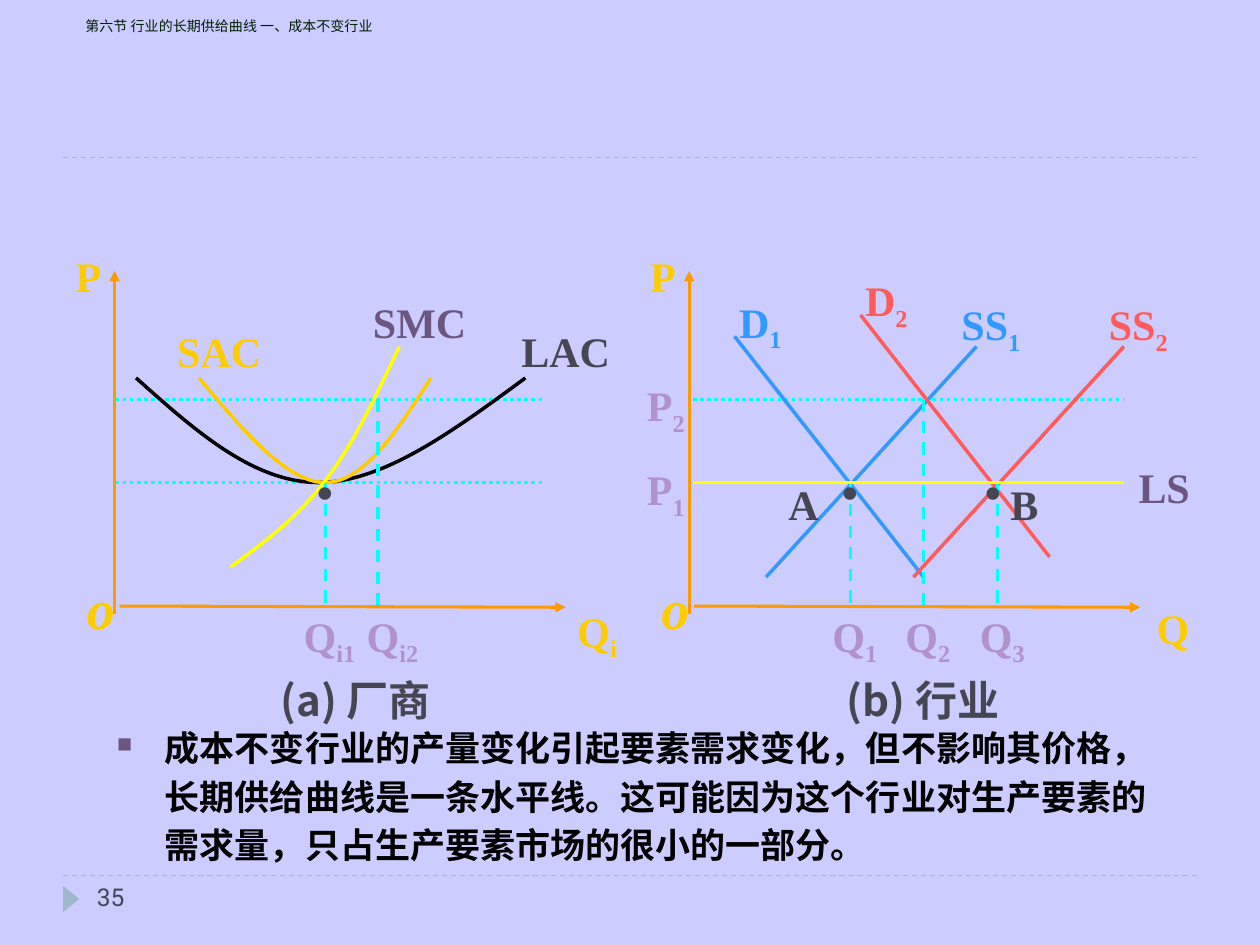
from dataclasses import dataclass

from lxml import etree
from pptx import Presentation
from pptx.dml.color import RGBColor
from pptx.enum.dml import MSO_LINE
from pptx.enum.shapes import MSO_CONNECTOR, MSO_SHAPE
from pptx.enum.text import MSO_ANCHOR, MSO_AUTO_SIZE, PP_ALIGN
from pptx.oxml.ns import qn
from pptx.util import Inches, Pt

DASH = MSO_LINE.DASH
DOT = MSO_LINE.ROUND_DOT
STRAIGHT = MSO_CONNECTOR.STRAIGHT
TRIANGLE = MSO_SHAPE.ISOSCELES_TRIANGLE
CENTER = PP_ALIGN.CENTER
MIDDLE = MSO_ANCHOR.MIDDLE
GROW = MSO_AUTO_SIZE.SHAPE_TO_FIT_TEXT


@dataclass(frozen=True)
class Theme:
    back: str = "CCCCFF"
    rule: str = "9FB8CD"
    ink: str = "464653"
    black: str = "000000"
    title: str = "001E00"
    axis: str = "FF9900"
    gold: str = "FFCC00"
    yellow: str = "FFFF00"
    cyan: str = "00FFFF"
    plum: str = "6B5680"
    lilac: str = "B292CA"
    blue: str = "3399FF"
    red: str = "FF5B5B"
    serif: str = "Times New Roman"
    sans: str = "Roboto"
    han: str = "Noto Sans CJK SC"
    cap: str = "Noto Sans CJK KR"
    tiny: float = 8
    small: float = 14
    body: float = 20
    label: float = 24
    zero: float = 32
    dot: float = 44
    thin: float = 0.75
    mid: float = 1.75
    thick: float = 2


T = Theme()


@dataclass
class Box:
    slide: object
    left: float
    top: float

    def at(self, x, y):
        return Inches(self.left + x), Inches(self.top + y)


def rgb(code):
    return RGBColor.from_string(code)


def style(line, color, width, dash=None):
    line.color.rgb = rgb(color)
    line.width = Pt(width)
    if dash is not None:
        line.dash_style = dash


def stroke(box, start, end, color, width=T.thick, dash=None, arrow=False):
    link = box.slide.shapes.add_connector(STRAIGHT, *box.at(*start), *box.at(*end))
    style(link.line, color, width, dash)
    if arrow:
        etree.SubElement(link.line._get_or_add_ln(), qn("a:tailEnd"), type="triangle")
    etree.SubElement(link._element.spPr, qn("a:effectLst"))


def curve(box, points, color):
    start, *rest = [box.at(*p) for p in points]
    pen = box.slide.shapes.build_freeform(*start)
    pen.add_line_segments(rest, close=False)
    shape = pen.convert_to_shape()
    shape.shadow.inherit = False
    shape.fill.background()
    style(shape.line, color, T.thick)
    route = shape._element.find(".//" + qn("a:path"))
    parts = route.findall(qn("a:lnTo"))
    for i in range(0, len(parts), 3):
        bend = etree.SubElement(route, qn("a:cubicBezTo"))
        for part in parts[i:i + 3]:
            bend.append(part[0])
            route.remove(part)


def write(para, text, size, color, face, bold=True, italic=False, base=None):
    run = para.add_run()
    run.text = text
    font = run.font
    font.name, font.size = face, Pt(size)
    font.bold, font.italic = bold, italic
    font.color.rgb = rgb(color)
    props = run._r.get_or_add_rPr()
    east = T.cap if face == T.cap else T.han
    etree.SubElement(props, qn("a:ea"), typeface=east)
    if base:
        props.set("baseline", str(base))


def frame(box, x, y, w, h, wrap=True):
    area = box.slide.shapes.add_textbox(*box.at(x, y), Inches(w), Inches(h)).text_frame
    area.word_wrap = wrap
    return area


def label(box, x, y, w, text, color, sub="", h=0.73, size=T.label,
          face=T.serif, wrap=True, italic=False):
    area = frame(box, x, y, w, 0.81 if sub else h, wrap)
    area.auto_size = GROW
    area.margin_left, area.margin_right = Inches(0.28), Inches(0.04)
    area.margin_top, area.margin_bottom = 0, Inches(0.17)
    para = area.paragraphs[0]
    para.alignment, para.line_spacing = CENTER, 1.4
    write(para, text, size, color, face, italic=italic)
    if sub:
        write(para, sub, size, color, face, base=-25000)


def dot(box, x):
    label(box, x, 1.47, 0.47, "·", T.ink, h=1.2, size=T.dot)


def mark(box, x, text):
    area = frame(box, x, 2, 0.44, 0.5, False)
    area.auto_size = GROW
    write(area.paragraphs[0], text, T.label, T.ink, T.serif)


def drop(box, x, y, sub, shift=0.75):
    stroke(box, (x, y), (x, 3.08), T.cyan, T.mid, DASH)
    label(box, x - shift, 2.91, 1.33, "Q", T.lilac, sub)


def axes(box, sub, x, w, title, left):
    stroke(box, (0.54, 3.06), (4.08, 3.07), T.axis, T.mid, arrow=True)
    stroke(box, (0.5, 3.12), (0.5, 0.4), T.axis, T.mid, arrow=True)
    label(box, 0, 2.59, 0.54, "o", T.gold, h=0.92, size=T.zero, wrap=False, italic=True)
    label(box, x, 2.87, w, "Q", T.gold, sub)
    label(box, -0.09, 0.08, 0.52, "P", T.gold, wrap=False)
    label(box, left, 3.44, 2.75, title, T.ink, face=T.cap)


def firm(box):
    axes(box, "i", 3.71, 1, "(a) 厂商", 0.92)
    for y in (1.42, 2.08):
        stroke(box, (0.51, y), (3.92, y), T.cyan, dash=DOT)
    curve(box, [(0.67, 1.25), (1.14, 1.67), (1.6, 2.08), (2.12, 2.08),
                (2.63, 2.08), (3.19, 1.67), (3.76, 1.25)], T.black)
    curve(box, [(1.17, 1.25), (1.52, 1.67), (1.87, 2.08), (2.17, 2.08),
                (2.48, 2.08), (2.74, 1.67), (3.01, 1.25)], T.gold)
    curve(box, [(1.42, 2.75), (1.68, 2.56), (1.94, 2.37), (2.16, 2.08),
                (2.39, 1.79), (2.57, 1.4), (2.76, 1)], T.yellow)
    label(box, 3.42, 0.67, 1.08, "LAC", T.ink)
    label(box, 0.67, 0.67, 1.08, "SAC", T.gold)
    label(box, 2.26, 0.44, 1.08, "SMC", T.plum)
    drop(box, 2.17, 2.08, "i1")
    drop(box, 2.59, 1.42, "i2", 0.67)
    dot(box, 1.79)


def trade(box):
    axes(box, "", 3.93, 0.58, "(b) 行业", 0.86)
    stroke(box, (0.53, 1.42), (3.95, 1.42), T.cyan, dash=DOT)
    for y, sub in ((1.08, "2"), (1.75, "1")):
        label(box, -0.47, y, 1.33, "P", T.lilac, sub)
    for start, end, color in (
        ((0.86, 0.92), (2.36, 2.83), T.blue),
        ((1.11, 2.83), (2.78, 1), T.blue),
        ((1.86, 0.75), (3.36, 2.67), T.red),
        ((2.28, 2.83), (3.95, 1), T.red),
    ):
        stroke(box, start, end, color)
    for x, y, sub in ((1.78, 2.08, "1"), (2.36, 1.42, "2"), (2.95, 2.08, "3")):
        drop(box, x, y, sub)
    stroke(box, (0.53, 2.08), (3.95, 2.08), T.yellow)
    label(box, 3.61, 1.75, 1.08, "LS", T.plum)
    for x, y, name, sub, color in (
        (0.28, 0.42, "D", "1", T.blue),
        (1.28, 0.25, "D", "2", T.red),
        (2.11, 0.44, "SS", "1", T.blue),
        (3.28, 0.44, "SS", "2", T.red),
    ):
        label(box, x, y, 1.33, name, color, sub)
    for x, spot, name in ((1.19, 1.4, "A"), (2.95, 2.53, "B")):
        mark(box, x, name)
        dot(box, spot)


def head(box):
    area = frame(box, 0.08, 0, 8.83, 0.25)
    area.vertical_anchor = MIDDLE
    write(area.paragraphs[0], "第六节 行业的长期供给曲线 一、成本不变行业",
          T.tiny, T.title, T.han, bold=False)
    stroke(box, (0, 1.17), (9, 1.17), T.rule, T.thin, DASH)


def note(box):
    para = frame(box, 0, 0, 8.58, 1.42).paragraphs[0]
    para.line_spacing = 1.15
    props = para._p.get_or_add_pPr()
    props.set("marL", str(Inches(0.38)))
    props.set("indent", str(-Inches(0.38)))
    tint = etree.SubElement(props, qn("a:buClr"))
    etree.SubElement(tint, qn("a:srgbClr"), val=T.plum)
    etree.SubElement(props, qn("a:buSzPct"), val="60000")
    etree.SubElement(props, qn("a:buChar"), char="■")
    write(para, "成本不变行业的产量变化引起要素需求变化，但不影响其价格，"
          "长期供给曲线是一条水平线。这可能因为这个行业对生产要素的需求量，"
          "只占生产要素市场的很小的一部分。", T.body, T.black, T.sans)


def foot(box):
    stroke(box, (0, 0), (9, 0), T.rule, T.thin, DASH)
    flag = box.slide.shapes.add_shape(TRIANGLE, *box.at(-0.04, 0.12), Inches(0.21), Inches(0.13))
    flag.rotation = 90
    flag.shadow.inherit = False
    flag.fill.solid()
    flag.fill.fore_color.rgb = rgb(T.rule)
    flag.line.fill.background()
    area = frame(box, 0.17, 0, 2.17, 0.4)
    write(area.paragraphs[0], "35", T.small, T.ink, T.sans, bold=False)


def main():
    deck = Presentation()
    deck.slide_width, deck.slide_height = Inches(10), Inches(7.5)
    slide = deck.slides.add_slide(deck.slide_layouts[6])
    fill = slide.background.fill
    fill.solid()
    fill.fore_color.rgb = rgb(T.back)
    for draw, left, top in (
        (head, 0.5, 0.08),
        (foot, 0.5, 6.95),
        (note, 0.83, 5.67),
        (firm, 0.41, 1.75),
        (trade, 4.97, 1.75),
    ):
        draw(Box(slide, left, top))
    deck.save("out.pptx")


if __name__ == "__main__":
    main()
